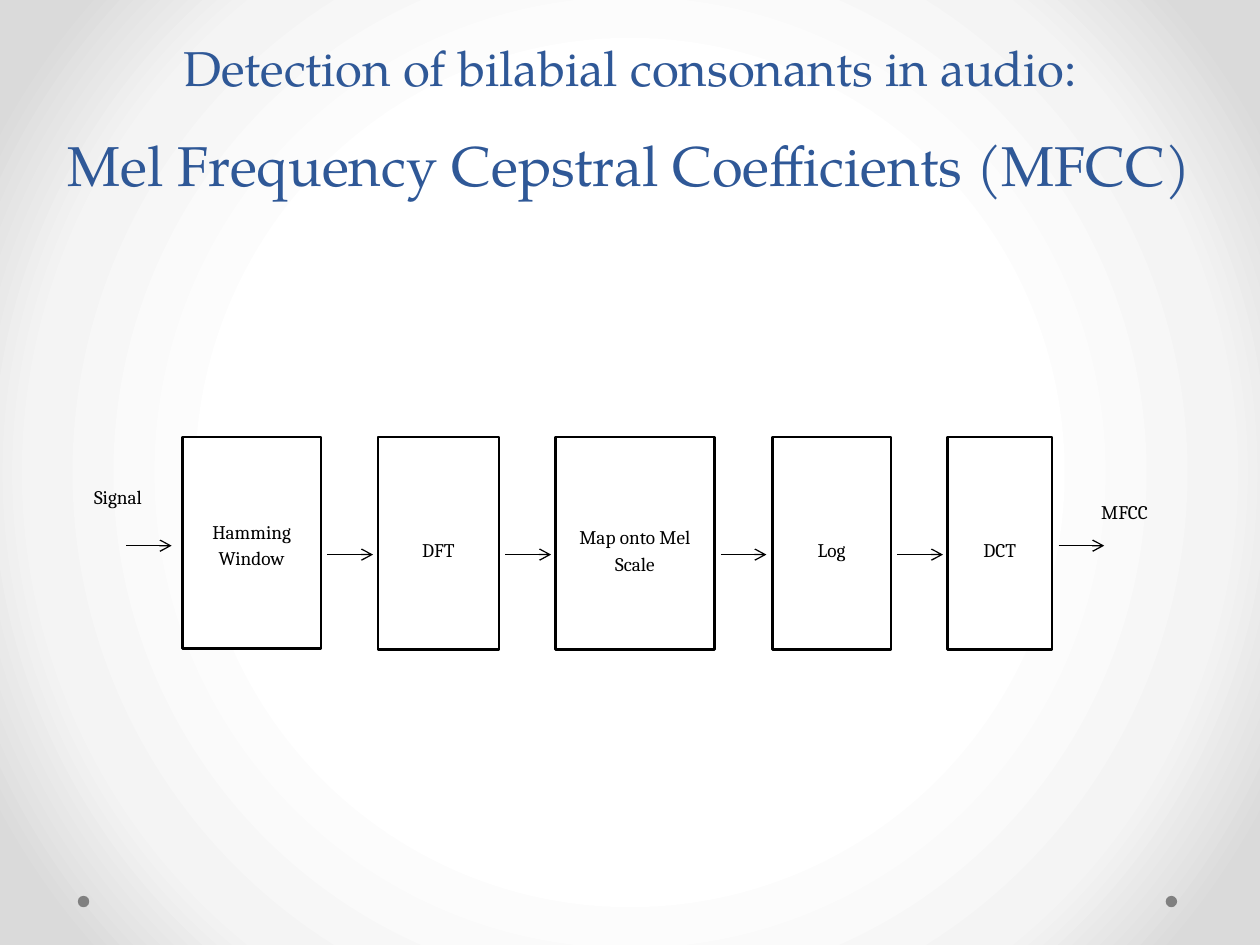
from copy import deepcopy

from lxml import etree
from pptx import Presentation
from pptx.dml.color import RGBColor
from pptx.enum import shapes, text
from pptx.oxml import ns, parse_xml
from pptx.util import Cm, Pt

BLACK = RGBColor(0x00, 0x00, 0x00)
WHITE = RGBColor(0xFF, 0xFF, 0xFF)
BLUE = RGBColor(0x2F, 0x58, 0x97)
GREY = RGBColor(0x80, 0x80, 0x80)

# Content: lengths in cm
TITLE = [("Detection of bilabial consonants in audio:", 28),
         ("Mel Frequency Cepstral Coefficients (MFCC)", 32)]
STEPS = [  # text, left, width, height, top inset, bottom inset
    ("Hamming Window", 3.68, 2.79, 4.27, 0.13, 0.13),
    ("DFT", 7.62, 2.44, 4.29, 0.2, 0),
    ("Map onto Mel Scale", 11.2, 3.2, 4.29, 0.2, 0),
    ("Log", 15.57, 2.39, 4.29, 0.2, 0),
    ("DCT", 19.1, 2.11, 4.29, 0.2, 0),
]
LABELS = [("Signal", 1.3, 8.81, 2.16, 2.36),
          ("MFCC", 21.64, 8.92, 2.06, 2.72)]
BACKDROP = [(50, "FFFFFF"), (76, "F4F4F4"), (92, "DADADA")]
DOTS = [1.57, 23.5]
STEP_TOP = 8.81
ARROW_LEN, ARROW_GAP = 0.92, 0.13
INNER_Y, OUTER_Y = 11.18, 11.0


def add_run(p, content, size=11, font="Cambria", color=BLACK):
    r = p.add_run()
    r.text = content
    r.font.size, r.font.name = Pt(size), font
    r.font.color.rgb = color
    return r


def write_label(shape, content, top=0.13, bottom=0.13):
    tf = shape.text_frame
    tf.word_wrap = True
    tf.vertical_anchor = text.MSO_ANCHOR.MIDDLE
    tf.margin_top, tf.margin_bottom = Cm(top), Cm(bottom)
    p = tf.paragraphs[0]
    p.alignment = text.PP_ALIGN.CENTER
    p.line_spacing, p.space_after = 1.15, Pt(10)
    add_run(p, content)


def add_box(kind, left, top, width, height, fill):
    sp = s.shapes.add_shape(kind, Cm(left), Cm(top), Cm(width), Cm(height))
    sp.shadow.inherit = False
    sp.fill.solid()
    sp.fill.fore_color.rgb = fill
    sp.line.fill.background()
    return sp


def add_arrow(left, y):
    line = s.shapes.add_connector(shapes.MSO_CONNECTOR.STRAIGHT, Cm(left), Cm(y),
                                  Cm(left + ARROW_LEN), Cm(y))
    line.line.color.rgb, line.line.width = BLACK, Pt(0.75)
    etree.SubElement(line.line._get_or_add_ln(), ns.qn("a:tailEnd"), type="arrow")
    etree.SubElement(line._element.spPr, ns.qn("a:effectLst"))


prs = Presentation()
prs.slide_width, prs.slide_height = Cm(25.4), Cm(19.05)
s = prs.slides.add_slide(prs.slide_layouts[5])

# Radial backdrop
s.background.fill.gradient()
grad = s._element.find(".//" + ns.qn("a:gradFill"))
stops = "".join(f'<a:gs pos="{pos * 1000}"><a:srgbClr val="{color}"/></a:gs>'
                for pos, color in BACKDROP)
grad.getparent().replace(grad, parse_xml(
    f'<a:gradFill {ns.nsdecls("a")} rotWithShape="1"><a:gsLst>{stops}</a:gsLst>'
    '<a:path path="circle"><a:fillToRect l="50000" t="50000" r="50000" b="50000"/>'
    '</a:path></a:gradFill>'))

# Footer dots
for left in DOTS:
    add_box(shapes.MSO_SHAPE.OVAL, left, 18.06, 0.23, 0.23, GREY)

# Title: two lines of one paragraph
title = s.shapes.title
title.left, title.top, title.width, title.height = Cm(0), Cm(0), Cm(25.4), Cm(4.11)
tf = title.text_frame
tf.word_wrap = True
tf.auto_size = text.MSO_AUTO_SIZE.NONE
tf.vertical_anchor = text.MSO_ANCHOR.BOTTOM
p = tf.paragraphs[0]
p.alignment, p.line_spacing = text.PP_ALIGN.CENTER, 1.5
for i, (content, size) in enumerate(TITLE):
    if i:
        p.add_line_break()
        p._p[-1].append(deepcopy(r._r.rPr))
    r = add_run(p, content, size=size, font="TeX Gyre Pagella", color=BLUE)

# Processing steps, each followed by an arrow
for i, (content, left, width, height, top, bottom) in enumerate(STEPS):
    box = add_box(shapes.MSO_SHAPE.RECTANGLE, left, STEP_TOP, width, height, WHITE)
    box.line.color.rgb, box.line.width = BLACK, Pt(1.5)
    write_label(box, content, top=top, bottom=bottom)
    last = i == len(STEPS) - 1
    add_arrow(left + width + ARROW_GAP, OUTER_Y if last else INNER_Y)

# Input arrow, input and output labels
add_arrow(2.54, OUTER_Y)
for content, *place in LABELS:
    write_label(s.shapes.add_textbox(*map(Cm, place)), content)

prs.save("out.pptx")
